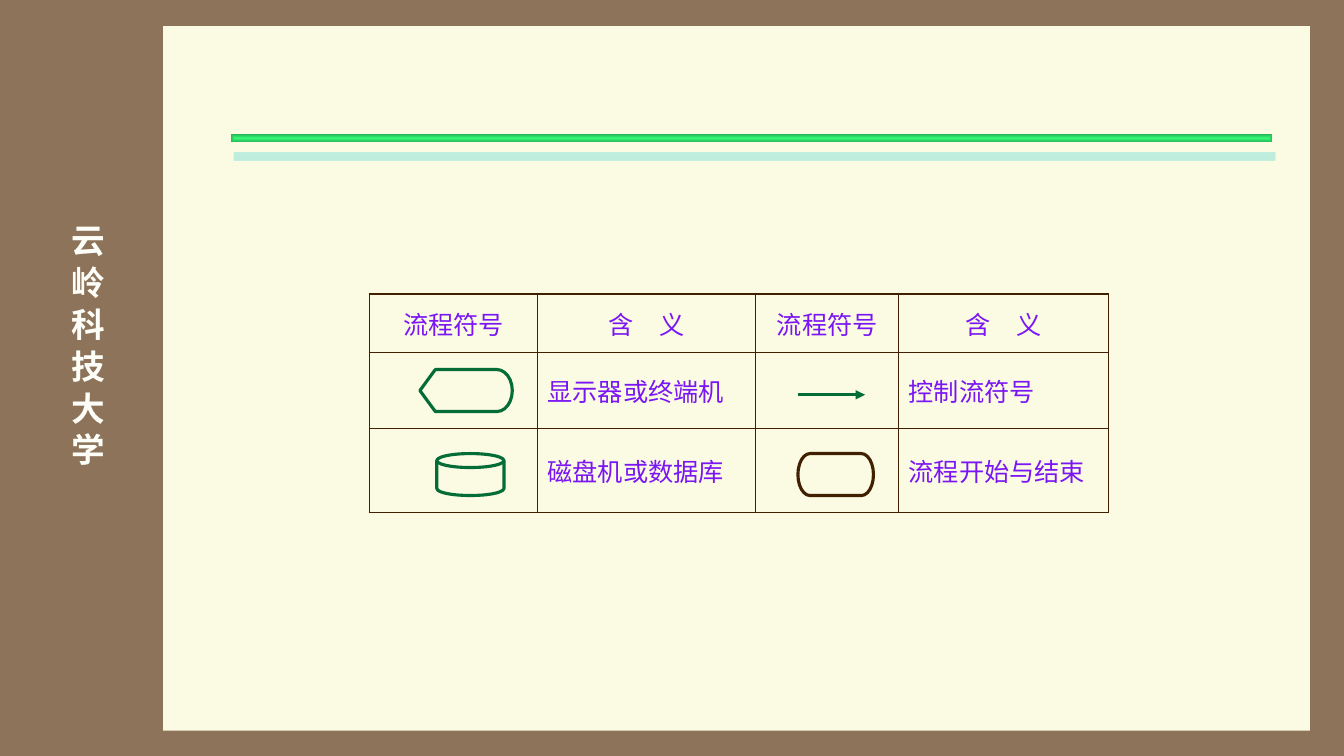
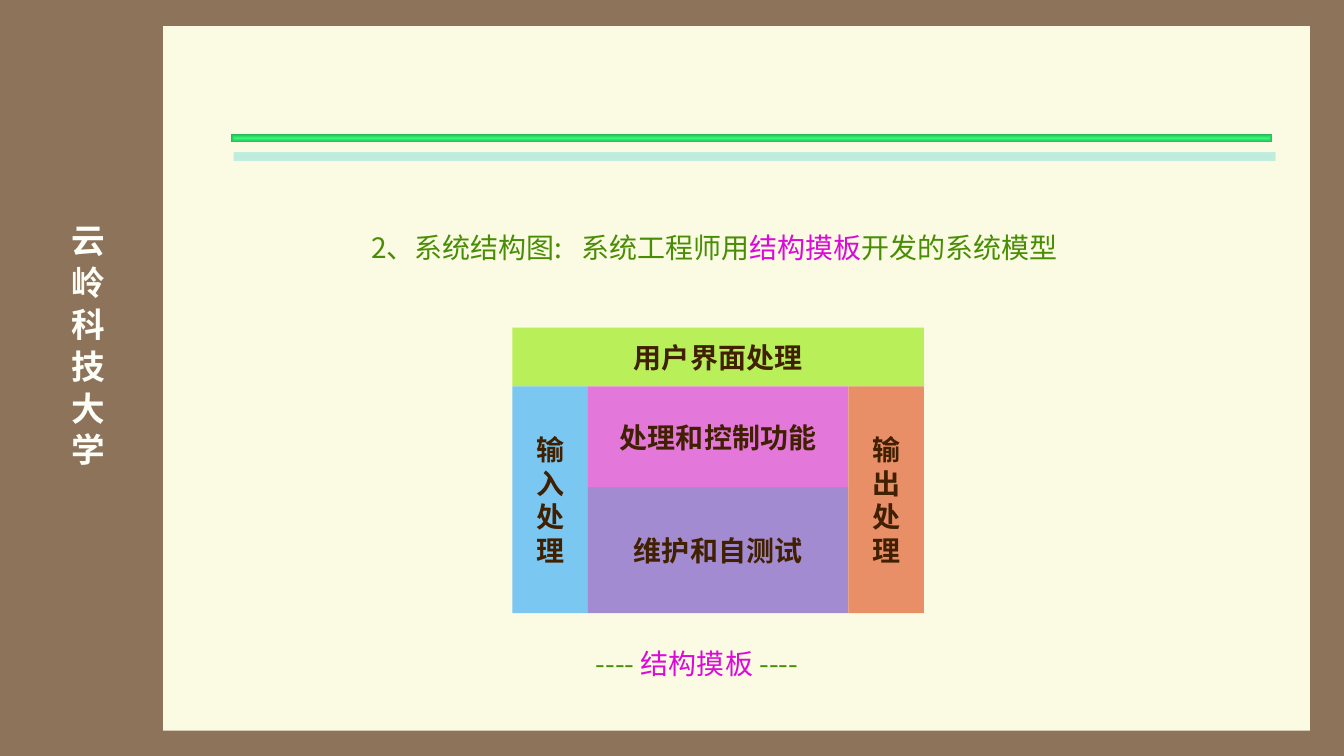
from dataclasses import dataclass
from typing import NamedTuple, Sequence

from lxml import etree
from pptx import Presentation
from pptx import util as u
from pptx.dml.color import RGBColor
from pptx.enum import shapes as sh, text as tx
from pptx.oxml import ns

GRID_CM = 2.54 / 12  # slide content sits on a grid of twelve steps per inch
SYMBOL_WIDTH = u.Pt(2.25)


@dataclass(frozen=True)
class Theme:
    frame: str = "8C735A"
    paper: str = "FBFAE2"
    school: str = "FEFEF8"
    bar_light: str = "34FA76"
    bar_dark: str = "25B354"
    bar_shadow: str = "84E2D9"
    table_text: str = "7A16F4"
    ink: str = "402000"
    symbol: str = "046C36"
    body: str = "498D05"
    accent: str = "DC08DC"
    serif: str = "Times New Roman"
    sans: str = "Noto Sans CJK SC"
    school_size: int = 24
    body_size: int = 20
    table_size: int = 18


THEME = Theme()


class Box(NamedTuple):
    """Left, top, width and height in grid steps."""
    left: float
    top: float
    width: float
    height: float


class Words(NamedTuple):
    text: str
    color: str


class Symbol(NamedTuple):
    preset: sh.MSO_SHAPE
    box: Box
    line: str


class Block(NamedTuple):
    lines: Sequence[str]
    box: Box
    fill: str


class Caption(NamedTuple):
    words: Sequence[Words]
    box: Box


# Content
COLUMNS = (20, 26, 17, 25)
ROWS = (7, 9, 10)
MEANINGS = (
    ("流程符号", "含　义", "流程符号", "含　义"),
    ("", "显示器或终端机", "", "控制流符号"),
    ("", "磁盘机或数据库", "", "流程开始与结束"),
)
SYMBOLS = (
    Symbol(sh.MSO_SHAPE.FLOWCHART_DISPLAY, Box(50, 44, 11, 5), THEME.symbol),
    Symbol(sh.MSO_SHAPE.FLOWCHART_MAGNETIC_DISK, Box(52, 54, 8, 5), THEME.symbol),
    Symbol(sh.MSO_SHAPE.FLOWCHART_TERMINATOR, Box(95, 54, 9, 5), THEME.ink),
)
BLOCKS = (
    Block(("用户界面处理",), Box(61, 39, 49, 7), "B9EF59"),
    Block(tuple("输入处理"), Box(61, 46, 9, 27), "7AC7F2"),
    Block(("维护和自测试",), Box(70, 58, 31, 15), "A28BD1"),
    Block(("处理和控制功能",), Box(70, 46, 31, 12), "E478DA"),
    Block(tuple("输出处理"), Box(101, 46, 9, 27), "E98F67"),
)
TEMPLATE_NAME = Words("结构摸板", THEME.accent)
CAPTIONS = (
    Caption((Words("2、系统结构图:", THEME.body),), Box(43, 27, 27, 5)),
    Caption((Words("系统工程师用", THEME.body), TEMPLATE_NAME,
             Words("开发的系统模型", THEME.body)), Box(68, 27, 61, 5)),
    Caption((Words(" ---- ", THEME.body), TEMPLATE_NAME,
             Words(" ----", THEME.body)), Box(69, 76, 36, 6)),
)


# Helpers
def grid(steps: float) -> u.Cm:
    return u.Cm(steps * GRID_CM)


def place(box: Box) -> list:
    return [grid(steps) for steps in box]


def rgb(color: str) -> RGBColor:
    return RGBColor.from_string(color)


def add_xml(parent, tag: str, **attributes: str):
    child = etree.SubElement(parent, ns.qn(tag))
    for name, value in attributes.items():
        child.set(name, value)
    return child


def add_run(paragraph, words: Words, font: str, size: int, bold: bool = False) -> None:
    run = paragraph.add_run()
    run.text = words.text
    run.font.name = font
    run.font.size = u.Pt(size)
    run.font.bold = bold
    run.font.color.rgb = rgb(words.color)
    add_xml(run.font._element, "a:ea", typeface=THEME.sans)


def add_panel(slide, preset: sh.MSO_SHAPE, bounds: Sequence, fill: str, line: str = ""):
    panel = slide.shapes.add_shape(preset, *bounds)
    panel.shadow.inherit = False
    panel.fill.solid()
    panel.fill.fore_color.rgb = rgb(fill)
    if line:
        panel.line.color.rgb = rgb(line)
        panel.line.width = SYMBOL_WIDTH
    else:
        panel.line.fill.background()
    return panel


# Shared parts
def add_bar(slide) -> None:
    bounds = (u.Cm(5.82), u.Cm(3.38), u.Cm(26.25), u.Cm(0.21))
    bar = add_panel(slide, sh.MSO_SHAPE.RECTANGLE, bounds, THEME.bar_dark)
    bar.fill.gradient()
    colors = (THEME.bar_light, THEME.bar_dark)
    for position, (stop, color) in enumerate(zip(bar.fill.gradient_stops, colors)):
        stop.position = position
        stop.color.rgb = rgb(color)
    properties = bar._element.spPr
    gradient = properties.find(ns.qn("a:gradFill"))
    gradient.remove(gradient.find(ns.qn("a:lin")))
    focus = add_xml(gradient, "a:path", path="rect")
    add_xml(focus, "a:fillToRect", l="50000", t="50000", r="50000", b="50000")
    effects = properties.find(ns.qn("a:effectLst"))
    shadow = add_xml(effects, "a:outerShdw", dist=str(u.Pt(13.2)), dir=str(81 * 60000),
                     algn="ctr", rotWithShape="0")
    tint = add_xml(shadow, "a:srgbClr", val=THEME.bar_shadow)
    add_xml(tint, "a:alpha", val="50000")


def add_school(slide) -> None:
    school = slide.shapes.add_textbox(u.Cm(1.32), u.Cm(5.4), u.Cm(1.52), u.Cm(7.3))
    frame = school.text_frame
    frame.word_wrap = True
    frame.auto_size = tx.MSO_AUTO_SIZE.NONE
    frame._txBody.bodyPr.set("vert", "eaVert")
    add_run(frame.paragraphs[0], Words("云 岭 科 技 大 学", THEME.school),
            THEME.serif, THEME.school_size, bold=True)


def new_slide(deck):
    slide = deck.slides.add_slide(deck.slide_layouts[6])
    paper = (u.Cm(4.11), u.Cm(0.66), u.Cm(28.9), u.Cm(17.75))
    add_panel(slide, sh.MSO_SHAPE.RECTANGLE, paper, THEME.paper)
    add_school(slide)
    add_bar(slide)
    return slide


# Slide 1: flow chart symbols
def style_cell(cell, words: str, centred: bool) -> None:
    cell.fill.background()
    cell.vertical_anchor = tx.MSO_ANCHOR.MIDDLE
    properties = cell._tc.get_or_add_tcPr()
    for index, side in enumerate(("a:lnL", "a:lnR", "a:lnT", "a:lnB")):
        border = etree.Element(ns.qn(side), w=str(u.Pt(1)))
        add_xml(add_xml(border, "a:solidFill"), "a:srgbClr", val=THEME.ink)
        properties.insert(index, border)
    if words:
        paragraph = cell.text_frame.paragraphs[0]
        paragraph.alignment = tx.PP_ALIGN.CENTER if centred else tx.PP_ALIGN.LEFT
        paragraph.space_before = u.Pt(3.6)
        add_run(paragraph, Words(words, THEME.table_text), THEME.serif, THEME.table_size)


def add_meanings(slide) -> None:
    bounds = place(Box(44, 35, sum(COLUMNS), sum(ROWS)))
    table = slide.shapes.add_table(len(ROWS), len(COLUMNS), *bounds).table
    table.first_row = table.horz_banding = False
    for column, width in zip(table.columns, COLUMNS):
        column.width = grid(width)
    for row_index, (row, height) in enumerate(zip(table.rows, ROWS)):
        row.height = grid(height)
        for cell, words in zip(row.cells, MEANINGS[row_index]):
            style_cell(cell, words, centred=row_index == 0)


def add_flow_arrow(slide) -> None:
    arrow = slide.shapes.add_connector(
        sh.MSO_CONNECTOR.STRAIGHT, grid(95), grid(47), grid(103), grid(47))
    arrow.line.color.rgb = rgb(THEME.symbol)
    arrow.line.width = SYMBOL_WIDTH
    add_xml(arrow.line._get_or_add_ln(), "a:tailEnd", type="triangle")
    add_xml(arrow._element.spPr, "a:effectLst")


def build_symbols(deck) -> None:
    slide = new_slide(deck)
    add_meanings(slide)
    for symbol in SYMBOLS:
        add_panel(slide, symbol.preset, place(symbol.box), THEME.paper, symbol.line)
    add_flow_arrow(slide)


# Slide 2: system structure template
def add_caption(slide, caption: Caption) -> None:
    frame = slide.shapes.add_textbox(*place(caption.box)).text_frame
    frame.word_wrap = False
    frame.vertical_anchor = tx.MSO_ANCHOR.MIDDLE
    for words in caption.words:
        add_run(frame.paragraphs[0], words, THEME.sans, THEME.body_size)


def add_block(slide, block: Block) -> None:
    panel = add_panel(slide, sh.MSO_SHAPE.RECTANGLE, place(block.box), block.fill)
    frame = panel.text_frame
    frame.word_wrap = False
    frame.vertical_anchor = tx.MSO_ANCHOR.MIDDLE
    for index, line in enumerate(block.lines):
        paragraph = frame.add_paragraph() if index else frame.paragraphs[0]
        paragraph.alignment = tx.PP_ALIGN.CENTER
        add_run(paragraph, Words(line, THEME.ink), THEME.serif, THEME.body_size, bold=True)


def build_structure(deck) -> None:
    slide = new_slide(deck)
    for caption in CAPTIONS:
        add_caption(slide, caption)
    for block in BLOCKS:
        add_block(slide, block)


def main() -> None:
    deck = Presentation()
    deck.slide_width, deck.slide_height = u.Cm(33.87), u.Cm(19.05)
    backdrop = deck.slide_master.background.fill
    backdrop.solid()
    backdrop.fore_color.rgb = rgb(THEME.frame)
    build_symbols(deck)
    build_structure(deck)
    deck.save("out.pptx")


if __name__ == "__main__":
    main()
